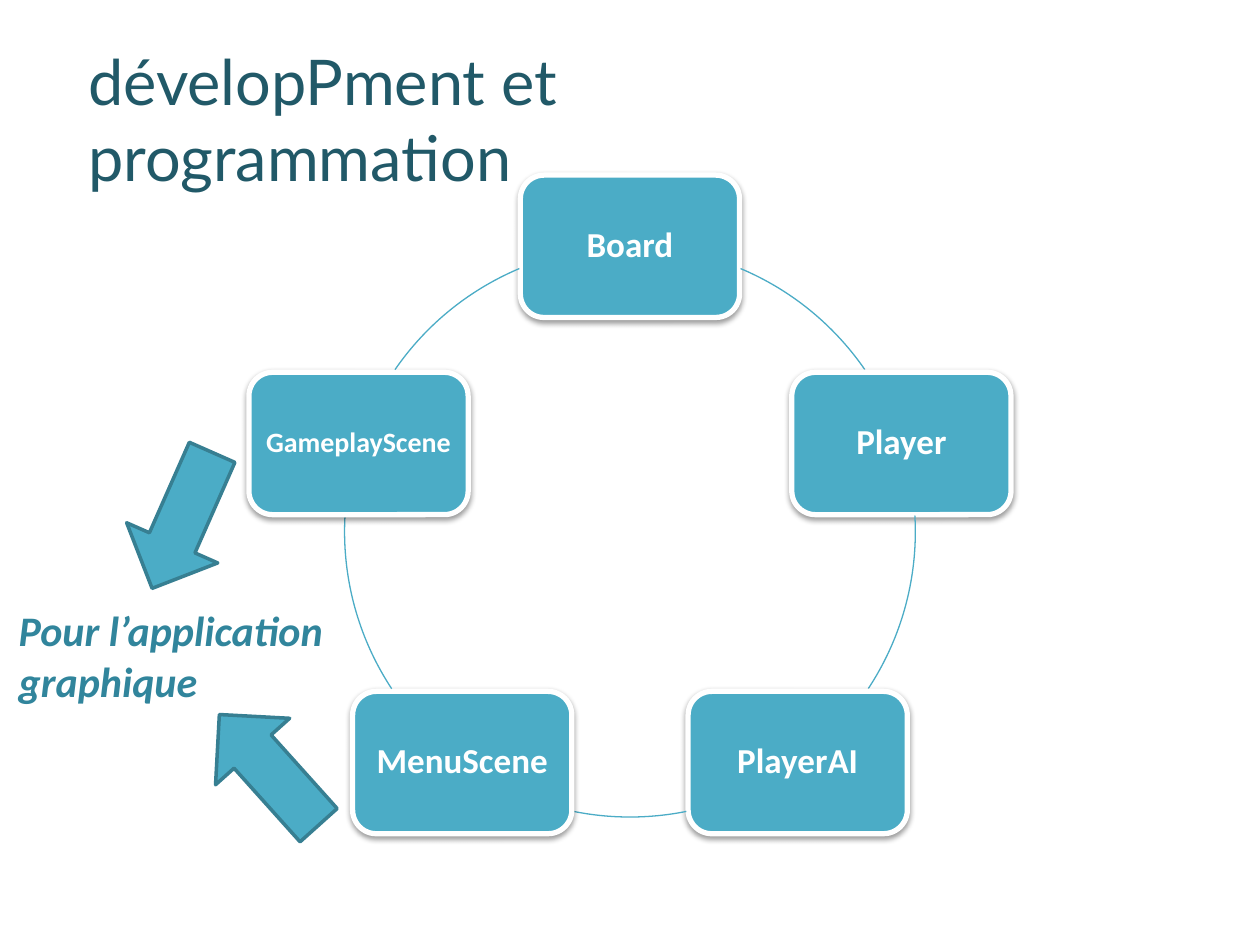
from math import cos, radians, sin

from lxml import etree
from pptx import Presentation
from pptx import util as u
from pptx.dml.color import RGBColor
from pptx.enum import shapes, text
from pptx.oxml import ns

TEAL = RGBColor(0x4B, 0xAC, 0xC6)
ARROW_EDGE = RGBColor(0x37, 0x7F, 0x92)
CAPTION_TEAL = RGBColor(0x31, 0x85, 0x9C)
TITLE_TEAL = RGBColor(0x21, 0x59, 0x68)
WHITE = RGBColor(0xFF, 0xFF, 0xFF)

TITLE = "dévelopPment et programmation"
CAPTION = ["Pour l’application", "graphique"]
CLASSES = [("Board", 20), ("Player", 20), ("PlayerAI", 20),
           ("MenuScene", 20), ("GameplayScene", 16)]
LINKS = [(292.8, 325.4), (356.8, 33.4), (78.6, 101.4), (146.6, 183.2), (214.6, 247.2)]
ARROWS = [(1.74, 5.52, 318.1), (1.05, 3.54, 203.8)]

CENTER_X, CENTER_Y, RADIUS = 5.0, 4.22, 2.265
CARD_W, CARD_H = 1.74, 1.13
ARROW_W, ARROW_H = 0.79, 1.18


def write(frame, lines, size, color, font="Calibri", bold=False, italic=False,
          align=text.PP_ALIGN.LEFT, anchor=text.MSO_ANCHOR.TOP, spacing=1.0):
    frame.word_wrap = True
    frame.auto_size = text.MSO_AUTO_SIZE.NONE
    frame.vertical_anchor = anchor
    for index, line in enumerate(lines):
        paragraph = frame.paragraphs[0] if index == 0 else frame.add_paragraph()
        paragraph.alignment = align
        paragraph.line_spacing = spacing
        run = paragraph.add_run()
        run.text = line
        run.font.name = font
        run.font.size = u.Pt(size)
        run.font.bold = bold
        run.font.italic = italic
        run.font.color.rgb = color


def add_outlined(slide, preset, box, fill, edge, weight):
    outlined = slide.shapes.add_shape(preset, *map(u.Inches, box))
    outlined.shadow.inherit = False
    if fill is None:
        outlined.fill.background()
    else:
        outlined.fill.solid()
        outlined.fill.fore_color.rgb = fill
    outlined.line.color.rgb = edge
    outlined.line.width = u.Pt(weight)
    return outlined


def drop_shadow(card):
    effects = card._element.spPr.find(ns.qn("a:effectLst"))
    shadow = etree.SubElement(effects, ns.qn("a:outerShdw"), blurRad="40000",
                              dist="20000", dir="5400000", rotWithShape="0")
    black = etree.SubElement(shadow, ns.qn("a:srgbClr"), val="000000")
    etree.SubElement(black, ns.qn("a:alpha"), val="38000")


def add_card(slide, index, name, size):
    angle = radians(-90 + index * 360 / len(CLASSES))
    left = CENTER_X + RADIUS * cos(angle) - CARD_W / 2
    top = CENTER_Y + RADIUS * sin(angle) - CARD_H / 2
    card = add_outlined(slide, shapes.MSO_SHAPE.ROUNDED_RECTANGLE,
                        (left, top, CARD_W, CARD_H), TEAL, WHITE, 3)
    drop_shadow(card)
    frame = card.text_frame
    frame.margin_left = frame.margin_right = u.Inches(0.08)
    write(frame, [name], size, WHITE, bold=True, spacing=0.9,
          align=text.PP_ALIGN.CENTER, anchor=text.MSO_ANCHOR.MIDDLE)


def add_link(slide, start, end):
    box = (CENTER_X - RADIUS, CENTER_Y - RADIUS, 2 * RADIUS, 2 * RADIUS)
    link = add_outlined(slide, shapes.MSO_SHAPE.ARC, box, None, TEAL, 0.75)
    for index, degrees in enumerate((start, end)):
        link.adjustments[index] = degrees * 0.6


def main():
    deck = Presentation()
    deck.slide_width, deck.slide_height = u.Inches(10), u.Inches(7.5)
    slide = deck.slides.add_slide(deck.slide_layouts[5])

    title = slide.shapes.title
    title.left, title.top = u.Inches(0.6), u.Inches(0.29)
    title.width, title.height = u.Inches(5.28), u.Inches(0.71)
    write(title.text_frame, [TITLE], 36, TITLE_TEAL, font="Lato")

    for index, ((name, size), link) in enumerate(zip(CLASSES, LINKS)):
        add_card(slide, index, name, size)
        add_link(slide, *link)

    for left, top, rotation in ARROWS:
        arrow = add_outlined(slide, shapes.MSO_SHAPE.UP_ARROW,
                             (left, top, ARROW_W, ARROW_H), TEAL, ARROW_EDGE, 2)
        arrow.rotation = rotation

    caption = slide.shapes.add_textbox(*map(u.Inches, (0.05, 4.75, 2.99, 0.91)))
    write(caption.text_frame, CAPTION, 24, CAPTION_TEAL, bold=True, italic=True)

    deck.save("out.pptx")


if __name__ == "__main__":
    main()
